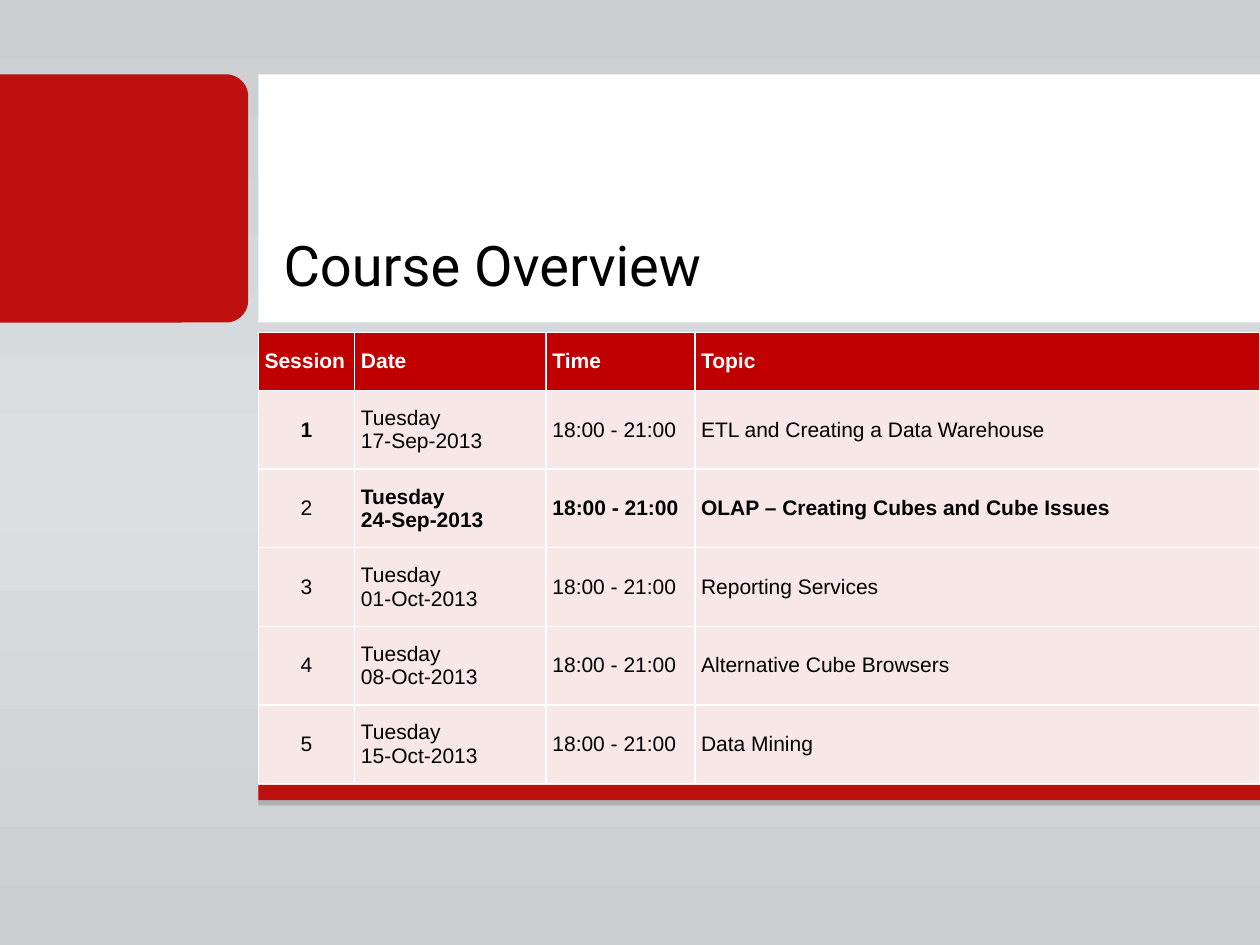
from copy import deepcopy
from dataclasses import dataclass

from lxml.etree import SubElement
from pptx import Presentation
from pptx.dml.color import RGBColor as Color
from pptx.enum.shapes import MSO_SHAPE as Preset
from pptx.enum.text import MSO_ANCHOR as Anchor, PP_ALIGN as Align
from pptx.oxml.ns import qn
from pptx.shapes.autoshape import Shape
from pptx.slide import Slide
from pptx.table import _Cell as Cell
from pptx.text.text import _Paragraph as Paragraph
from pptx.util import Emu, Inches, Pt


@dataclass(frozen=True)
class Theme:
    edge: str = "CACED1"
    middle: str = "DBDFE2"
    accent: str = "BE100F"
    header: str = "C00000"
    body: str = "F7E7E7"
    white: str = "FFFFFF"
    black: str = "000000"
    shadow: str = "7F7F7F"
    title_font: str = "Roboto"
    table_font: str = "Arial"
    title_size: int = 32
    table_size: int = 12


@dataclass(frozen=True)
class Area:
    """A rectangle in grid units: the slide has 100 columns and 75 rows."""
    left: float
    top: float
    width: float
    height: float

    def lengths(self) -> tuple[Emu, Emu, Emu, Emu]:
        return (units(self.left), units(self.top),
                units(self.width), units(self.height))


@dataclass(frozen=True)
class Session:
    number: int
    date: str
    topic: str
    number_bold: bool = False
    details_bold: bool = False


THEME = Theme()
COLUMNS, ROWS = 100, 75
MAIN_LEFT = 20.5
MAIN_WIDTH = COLUMNS - MAIN_LEFT
BAND_TOP, BAND_HEIGHT = 5.9, 19.7
TABLE_TOP, TABLE_HEIGHT = 26.4, 35.8
HEADER_HEIGHT = 4.6
COLUMN_WIDTHS = (7.65, 15.2, 11.8, 44.85)
HEADINGS = ("Session", "Date", "Time", "Topic")
WEEKDAY, HOURS = "Tuesday", "18:00 - 21:00"
SESSIONS = (
    Session(1, "17-Sep-2013", "ETL and Creating a Data Warehouse", number_bold=True),
    Session(2, "24-Sep-2013", "OLAP – Creating Cubes and Cube Issues", details_bold=True),
    Session(3, "01-Oct-2013", "Reporting Services"),
    Session(4, "08-Oct-2013", "Alternative Cube Browsers"),
    Session(5, "15-Oct-2013", "Data Mining"),
)


def units(count: float) -> Emu:
    return Inches(count / 10)


def rgb(value: str) -> Color:
    return Color.from_string(value)


def paint_background(page: Slide) -> None:
    fill = page.background.fill
    fill.gradient()
    fill.gradient_angle = 270
    stop_list = page.background._cSld.find(".//" + qn("a:gsLst"))
    stop_list.insert(1, deepcopy(stop_list[0]))
    colors = (THEME.edge, THEME.middle, THEME.edge)
    for stop, color, position in zip(fill.gradient_stops, colors, (0, 0.5, 1)):
        stop.color.rgb = rgb(color)
        stop.position = position


def add_panel(page: Slide, area: Area, color: str,
              preset: Preset = Preset.RECTANGLE) -> Shape:
    panel = page.shapes.add_shape(preset, *area.lengths())
    panel.shadow.inherit = False
    panel.fill.solid()
    panel.fill.fore_color.rgb = rgb(color)
    panel.line.fill.background()
    return panel


def add_tab(page: Slide) -> None:
    tab = add_panel(page, Area(0, BAND_TOP, BAND_HEIGHT, BAND_HEIGHT),
                    THEME.accent, Preset.ROUND_2_SAME_RECTANGLE)
    tab.rotation = 90
    tab.adjustments[0] = 0.09


def add_footer_bar(page: Slide) -> None:
    bar = add_panel(page, Area(MAIN_LEFT, 62.3, MAIN_WIDTH, 1.2), THEME.accent)
    effects = bar._element.spPr.find(qn("a:effectLst"))
    shadow = SubElement(effects, qn("a:outerShdw"), blurRad="0",
                        dist=str(Pt(3)), dir="5400000", rotWithShape="0")
    color = SubElement(shadow, qn("a:srgbClr"), val=THEME.shadow)
    SubElement(color, qn("a:alpha"), val="40000")


def style_text(para: Paragraph, font: str, size: int, color: str,
               bold: bool = False) -> None:
    for span in para.runs:
        span.font.name = font
        span.font.size = Pt(size)
        span.font.bold = bold
        span.font.color.rgb = rgb(color)
    for line_break in para._p.findall(qn("a:br")):
        SubElement(line_break, qn("a:rPr"), sz=str(size * 100))


def add_title(page: Slide) -> None:
    box = add_panel(page, Area(MAIN_LEFT, BAND_TOP, MAIN_WIDTH, BAND_HEIGHT),
                    THEME.white)
    frame = box.text_frame
    frame.word_wrap = True
    frame.vertical_anchor = Anchor.BOTTOM
    frame.margin_left = frame.margin_right = units(2)
    frame.margin_top = frame.margin_bottom = units(2)
    frame.text = "Course Overview"
    para = frame.paragraphs[0]
    para.alignment = Align.LEFT
    style_text(para, THEME.title_font, THEME.title_size, THEME.black)


def add_borders(cell: Cell) -> None:
    properties = cell._tc.get_or_add_tcPr()
    for side in ("L", "R", "T", "B"):
        line = SubElement(properties, qn(f"a:ln{side}"), w=str(Pt(1)))
        fill = SubElement(line, qn("a:solidFill"))
        SubElement(fill, qn("a:srgbClr"), val=THEME.white)


def fill_cell(cell: Cell, text: str, fill: str, color: str, bold: bool,
              align: Align = Align.LEFT) -> None:
    add_borders(cell)
    cell.fill.solid()
    cell.fill.fore_color.rgb = rgb(fill)
    cell.vertical_anchor = Anchor.MIDDLE
    cell.margin_left = cell.margin_right = units(0.5)
    cell.margin_top = cell.margin_bottom = 0
    para = cell.text_frame.paragraphs[0]
    para.text = text
    para.alignment = align
    style_text(para, THEME.table_font, THEME.table_size, color, bold)


def add_schedule(page: Slide) -> None:
    area = Area(MAIN_LEFT, TABLE_TOP, MAIN_WIDTH, TABLE_HEIGHT)
    table = page.shapes.add_table(
        len(SESSIONS) + 1, len(HEADINGS), *area.lengths()).table
    for column, width in zip(table.columns, COLUMN_WIDTHS):
        column.width = units(width)
    body_height = (TABLE_HEIGHT - HEADER_HEIGHT) / len(SESSIONS)
    for index, row in enumerate(table.rows):
        row.height = units(body_height if index else HEADER_HEIGHT)

    for cell, heading in zip(table.rows[0].cells, HEADINGS):
        fill_cell(cell, heading, THEME.header, THEME.white, True)
    for index, session in enumerate(SESSIONS, start=1):
        number, *details = table.rows[index].cells
        fill_cell(number, str(session.number), THEME.body, THEME.black,
                  session.number_bold, Align.CENTER)
        texts = (f"{WEEKDAY}\v{session.date}", HOURS, session.topic)
        for cell, text in zip(details, texts):
            fill_cell(cell, text, THEME.body, THEME.black, session.details_bold)


def main() -> None:
    deck = Presentation()
    deck.slide_width, deck.slide_height = units(COLUMNS), units(ROWS)
    page = deck.slides.add_slide(deck.slide_layouts[6])
    paint_background(page)
    add_panel(page, Area(MAIN_LEFT, 26.5, MAIN_WIDTH, TABLE_HEIGHT), THEME.white)
    add_footer_bar(page)
    add_tab(page)
    add_title(page)
    add_schedule(page)
    deck.save("out.pptx")


if __name__ == "__main__":
    main()
